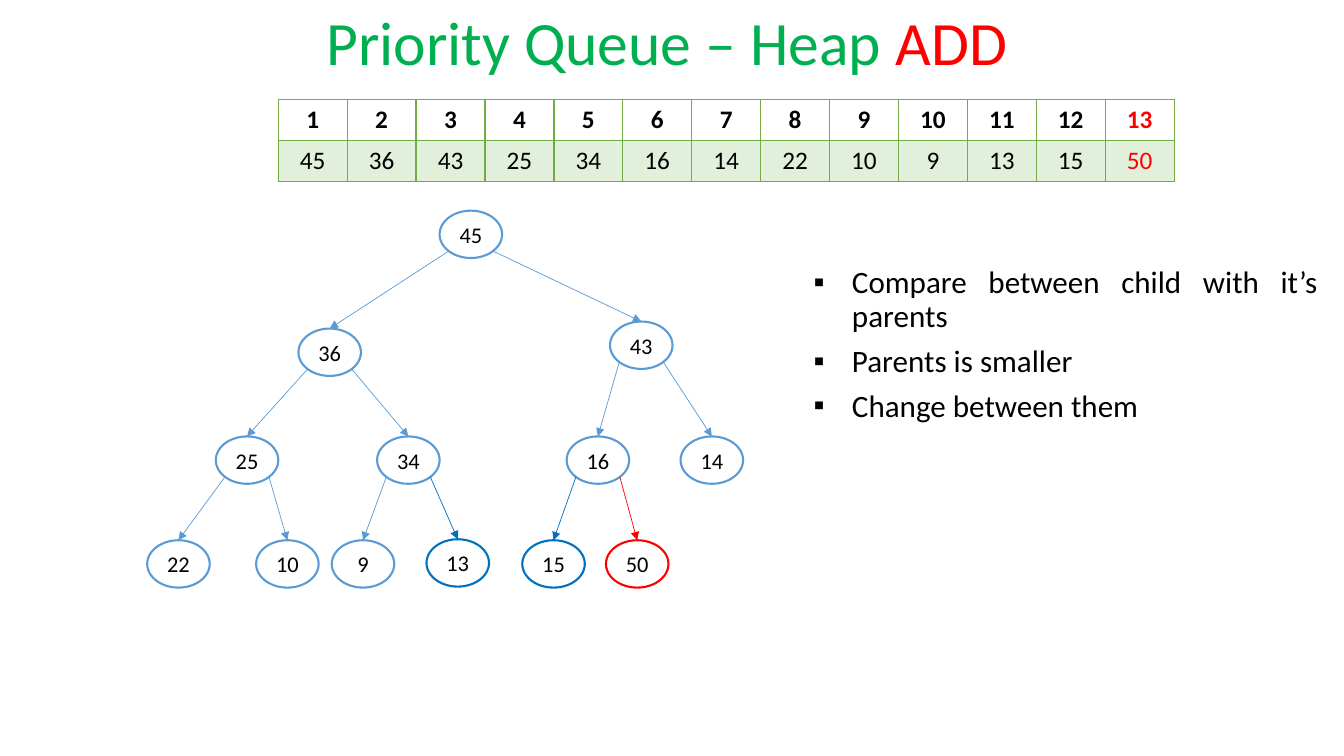
from lxml.etree import SubElement as Sub
from pptx import Presentation
from pptx.dml.color import RGBColor as Rgb
from pptx.enum.shapes import MSO_CONNECTOR as Conn, MSO_SHAPE as Geo
from pptx.enum.text import MSO_ANCHOR as Anchor, MSO_AUTO_SIZE as Auto, PP_ALIGN as Align
from pptx.oxml.ns import qn
from pptx.util import Inches, Pt

COLORS = {"ink": "000000", "paper": "FFFFFF", "title": "00B050", "new": "FF0000",
          "node": "5B9BD5", "last": "0070C0", "grid": "70AD47", "band": "E2EFDA"}


def tint(name):
    return Rgb.from_string(COLORS[name])


class Deck:
    font = "Calibri"

    def __init__(self, width, height):
        self.prs = Presentation()
        self.prs.slide_width, self.prs.slide_height = Inches(width), Inches(height)
        self.slide = self.prs.slides.add_slide(self.prs.slide_layouts[1])

    def run(self, para, text, size, color="ink", bold=False):
        run = para.add_run()
        run.text = text
        font = run.font
        font.name, font.size, font.bold = self.font, Pt(size), bold
        font.color.rgb = tint(color)

    def place(self, shape, box, anchor):
        shape.left, shape.top, shape.width, shape.height = map(Inches, box)
        frame = shape.text_frame
        frame.auto_size, frame.word_wrap = Auto.NONE, True
        frame.vertical_anchor = anchor
        return frame

    def title(self, box, parts, size):
        para = self.place(self.slide.shapes.title, box, Anchor.BOTTOM).paragraphs[0]
        para.alignment, para.line_spacing = Align.CENTER, 0.9
        for text, color in parts:
            self.run(para, text, size, color)

    def bullets(self, box, items, size):
        frame = self.place(self.slide.placeholders[1], box, Anchor.TOP)
        for i, text in enumerate(items):
            para = frame.add_paragraph() if i else frame.paragraphs[0]
            para.alignment, para.line_spacing = Align.JUSTIFY, 0.9
            para.space_before = para.space_after = Pt(4)
            props = para._p.get_or_add_pPr()
            props.set("marL", str(Inches(0.62)))
            props.set("indent", str(Inches(-0.38)))
            Sub(Sub(props, qn("a:buClr")), qn("a:srgbClr"), val=COLORS["ink"])
            Sub(props, qn("a:buFont"), typeface="Arial")
            Sub(props, qn("a:buChar"), char="▪")
            self.run(para, text, size)

    def table(self, box, rows, size):
        grid = self.slide.shapes.add_table(len(rows), len(rows[0]), *map(Inches, box)).table
        for r, row in enumerate(rows):
            for c, value in enumerate(row):
                cell = grid.cell(r, c)
                self.border(cell)
                cell.fill.solid()
                cell.fill.fore_color.rgb = tint("band" if r else "paper")
                para = cell.text_frame.paragraphs[0]
                para.alignment = Align.CENTER
                color = "new" if c == len(row) - 1 else "ink"
                self.run(para, str(value), size, color, bold=r == 0)

    def border(self, cell):
        props = cell._tc.get_or_add_tcPr()
        for side in "LRTB":
            line = Sub(props, qn("a:ln" + side), w=str(Pt(1)))
            Sub(Sub(line, qn("a:solidFill")), qn("a:srgbClr"), val=COLORS["grid"])

    def node(self, box, text, size, color):
        oval = self.slide.shapes.add_shape(Geo.OVAL, *map(Inches, box))
        oval.shadow.inherit = False
        oval.fill.solid()
        oval.fill.fore_color.rgb = tint("paper")
        oval.line.color.rgb, oval.line.width = tint(color), Pt(1.5)
        frame = oval.text_frame
        frame.margin_left = frame.margin_right = frame.margin_top = frame.margin_bottom = 0
        frame.vertical_anchor = Anchor.MIDDLE
        para = frame.paragraphs[0]
        para.alignment = Align.CENTER
        self.run(para, text, size)

    def arrow(self, start, end, color):
        link = self.slide.shapes.add_connector(Conn.STRAIGHT, *map(Inches, start + end))
        link.line.color.rgb, link.line.width = tint(color), Pt(0.5)
        Sub(link.line._get_or_add_ln(), qn("a:tailEnd"), type="triangle")
        Sub(link._element.spPr, qn("a:effectLst"))


deck = Deck(13.33, 7.5)

# Title
deck.title((1.67, 0.12, 9.89, 0.71),
           [("Priority Queue – Heap ", "title"), ("ADD", "new")], 44)

# Heap as an array
heap = [45, 36, 43, 25, 34, 16, 14, 22, 10, 9, 13, 15, 50]
deck.table((2.76, 0.99, 8.89, 0.81), [range(1, len(heap) + 1), heap], 18)

# Heap as a tree: left and top of each node, in array order
WIDE, HIGH = 0.62, 0.47
spots = [(4.36, 2.09), (2.96, 3.26), (6.05, 3.19),
         (2.14, 4.33), (3.74, 4.33), (5.62, 4.33), (6.75, 4.33),
         (1.46, 5.36), (2.54, 5.36), (3.29, 5.36), (4.23, 5.35), (5.18, 5.36), (6.01, 5.36)]
hues = {11: "last", 12: "last", 13: "new"}
for i, (value, (left, top)) in enumerate(zip(heap, spots), 1):
    hue = hues.get(i, "node")
    deck.node((left, top, WIDE, HIGH), str(value), 16, hue)
    if i > 1:
        # Parent is at i // 2; even children hang on its left side
        x, y = spots[i // 2 - 1]
        side = 0.85 if i % 2 else 0.15
        deck.arrow((x + side * WIDE, y + 0.85 * HIGH), (left + WIDE / 2, top), hue)

# Steps
deck.bullets((7.73, 2.6, 5.44, 1.65),
             ["Compare between child with it’s parents", "Parents is smaller",
              "Change between them"], 22.2)

deck.prs.save("out.pptx")
